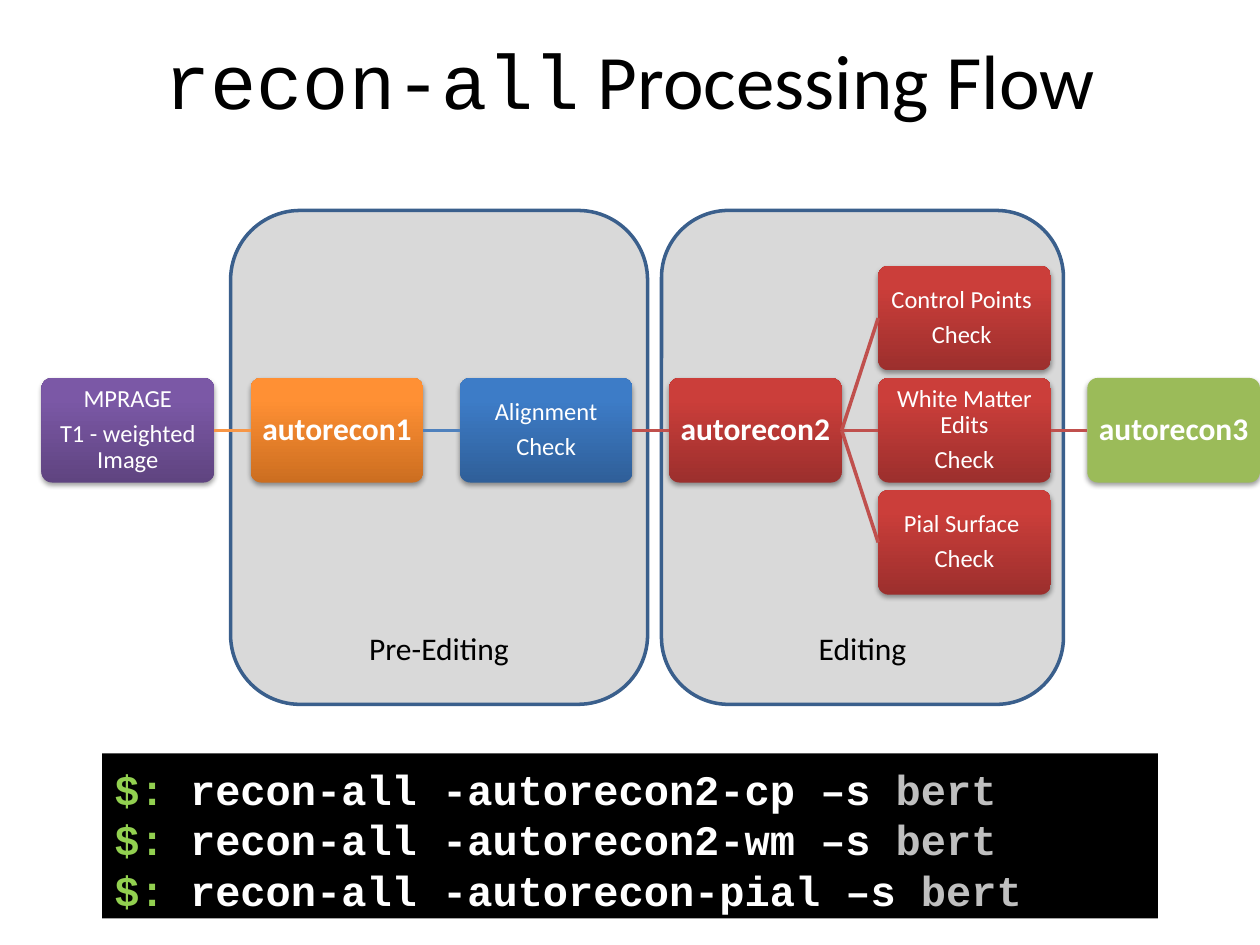
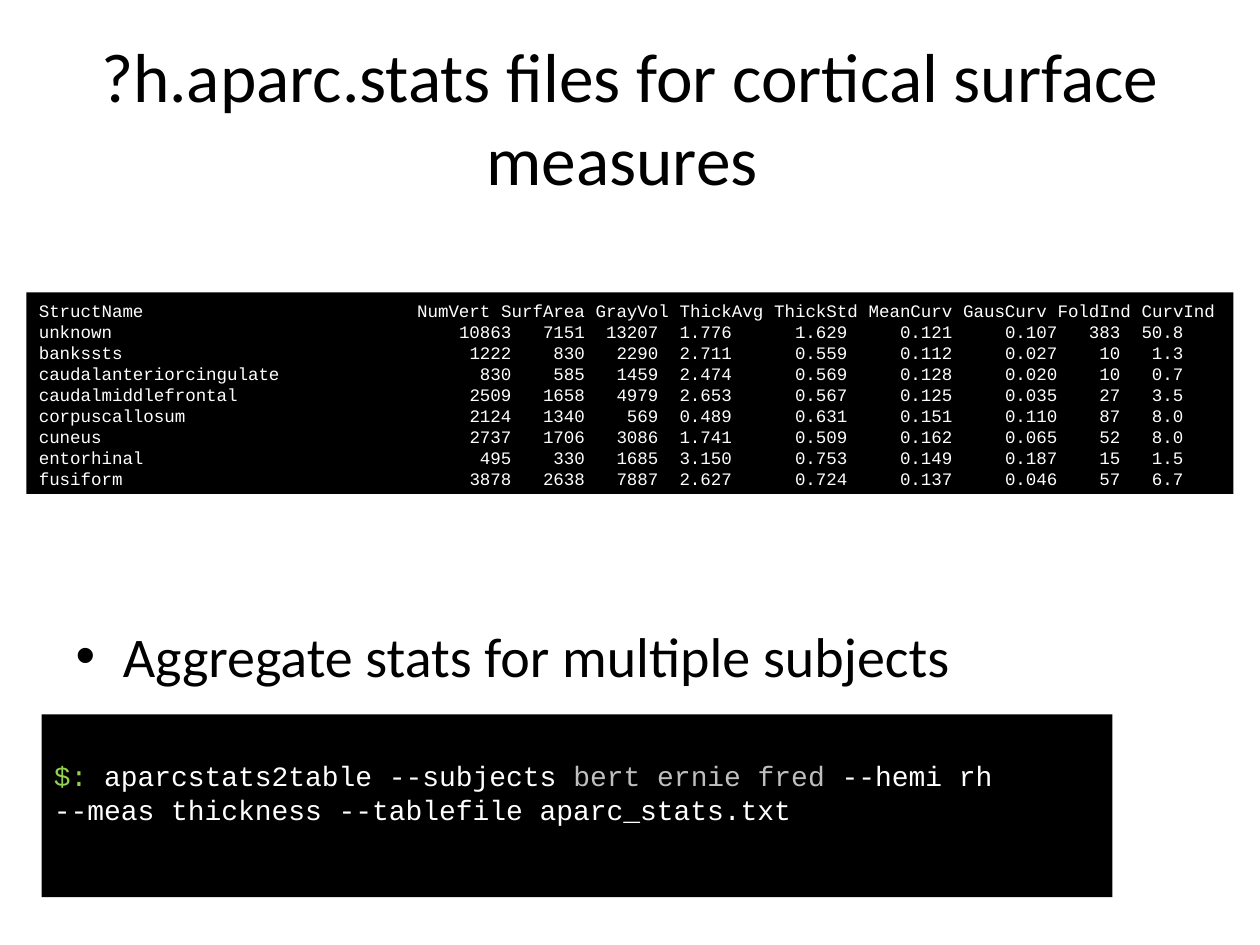
from dataclasses import dataclass

import pptx
import pptx.dml.color
import pptx.enum.shapes
import pptx.enum.text
import pptx.oxml.ns
import pptx.util
from lxml import etree

Inches, Pt = pptx.util.Inches, pptx.util.Pt
ALIGN = pptx.enum.text.PP_ALIGN
ANCHOR = pptx.enum.text.MSO_ANCHOR
SHAPE = pptx.enum.shapes.MSO_SHAPE
qn = pptx.oxml.ns.qn


@dataclass(frozen=True)
class Theme:
    sans: str = "Calibri"
    mono: str = "Courier New"
    black: str = "000000"
    white: str = "FFFFFF"
    prompt: str = "92D050"
    argument: str = "BFBFBF"
    panel: str = "D9D9D9"
    panel_edge: str = "3A5F8C"
    title: float = 44
    long_title: float = 39.6
    bullet: float = 32
    command: float = 24
    stage: float = 18
    small_command: float = 16
    check: float = 14
    listing: float = 10
    line: float = 2


T = Theme()
WIDTH, HEIGHT = 10, 7.5

PURPLE = ("5F4480", "7B58A6")
ORANGE = ("CC6E20", "FF9034")
BLUE = ("2F5F99", "3D7CC7")
RED = ("9C2F2D", "CB3E3A")
GREEN = ("9BBB59",)

FLOW_TITLE = [("recon-all", T.mono), (" Processing Flow", T.sans)]
PHASES = [("Pre-Editing", 1.83, 3.31), ("Editing", 5.25, 3.19)]
STEPS = {
    "input": (0, 0, PURPLE, ["MPRAGE", "T1 - weighted Image"]),
    "first": (1, 0, ORANGE, ["autorecon1"]),
    "alignment": (2, 0, BLUE, ["Alignment", "Check"]),
    "second": (3, 0, RED, ["autorecon2"]),
    "control": (4, -1, RED, ["Control Points ", "Check "]),
    "white": (4, 0, RED, ["White Matter Edits", "Check"]),
    "pial": (4, 1, RED, ["Pial Surface ", "Check"]),
    "third": (5, 0, GREEN, ["autorecon3"]),
}
LINKS = [
    ("input", "first", "F79646"),
    ("first", "alignment", "4F81BD"),
    ("alignment", "second", "C0504D"),
    ("second", "control", "C0504D"),
    ("second", "white", "C0504D"),
    ("second", "pial", "C0504D"),
    ("white", "third", "C0504D"),
]
RERUN_FLAGS = ["-autorecon2-cp", "-autorecon2-wm", "-autorecon-pial"]
RERUN_COMMANDS = [
    [("$:", T.prompt), (f" recon-all {flag} –s ", T.white), ("bert", T.argument)]
    for flag in RERUN_FLAGS
]

STATS_TITLE = [("?h.aparc.stats files for cortical surface measures ", T.sans)]
STATS = """\
StructName NumVert SurfArea GrayVol ThickAvg ThickStd MeanCurv GausCurv FoldInd CurvInd
unknown 10863 7151 13207 1.776 1.629 0.121 0.107 383 50.8
bankssts 1222 830 2290 2.711 0.559 0.112 0.027 10 1.3
caudalanteriorcingulate 830 585 1459 2.474 0.569 0.128 0.020 10 0.7
caudalmiddlefrontal 2509 1658 4979 2.653 0.567 0.125 0.035 27 3.5
corpuscallosum 2124 1340 569 0.489 0.631 0.151 0.110 87 8.0
cuneus 2737 1706 3086 1.741 0.509 0.162 0.065 52 8.0
entorhinal 495 330 1685 3.150 0.753 0.149 0.187 15 1.5
fusiform 3878 2638 7887 2.627 0.724 0.137 0.046 57 6.7"""
HEADING_ENDS = [43, 52, 60, 69, 78, 87, 96, 104, 112]
VALUE_ENDS = [45, 52, 59, 66, 77, 87, 97, 103, 109]
AGGREGATE = "Aggregate stats for multiple subjects"
AGGREGATE_COMMAND = [
    [("$: ", T.prompt), ("aparcstats2table --subjects ", T.white),
     ("bert ernie fred ", T.argument), ("--hemi rh", T.white)],
    [("--meas thickness --tablefile aparc_stats.txt", T.white)],
]

STEP_W, STEP_H = 1.37, 0.83
FLOW_LEFT, FLOW_TOP = 0.33, 3
COLUMN, ROW = 1.66, 0.89


def rgb(value):
    return pptx.dml.color.RGBColor.from_string(value)


def style(font, name=None, size=None, color=None, bold=None):
    if name:
        font.name = name
    if size:
        font.size = Pt(size)
    if color:
        font.color.rgb = rgb(color)
    if bold is not None:
        font.bold = bold


def place(part, left, top, width, height):
    part.left, part.top = Inches(left), Inches(top)
    part.width, part.height = Inches(width), Inches(height)


def paragraphs(frame, count):
    return [frame.paragraphs[0]] + [frame.add_paragraph() for _ in range(count - 1)]


def add_block(slide, kind, box, fill, anchor):
    block = slide.shapes.add_shape(kind, *map(Inches, box))
    block.shadow.inherit = False
    if len(fill) == 1:
        block.fill.solid()
        block.fill.fore_color.rgb = rgb(fill[0])
    else:
        block.fill.gradient()
        block.fill.gradient_angle = 90
        for stop, color, position in zip(block.fill.gradient_stops, fill, (0, 0.8)):
            stop.color.rgb = rgb(color)
            stop.position = position
    block.line.fill.background()
    block.text_frame.word_wrap = True
    block.text_frame.vertical_anchor = anchor
    return block


def set_title(slide, runs, top, size):
    title = slide.shapes.title
    place(title, 0.05 * WIDTH, top, 0.9 * WIDTH, HEIGHT / 6)
    title.text_frame.vertical_anchor = ANCHOR.MIDDLE
    heading = title.text_frame.paragraphs[0]
    heading.alignment = ALIGN.CENTER
    style(heading.font, size=size, color=T.black)
    for text, name in runs:
        run = heading.add_run()
        run.text = text
        style(run.font, name)


def add_terminal(slide, box, lines, size, margin_top, bold=False, tab_ends=None):
    terminal = add_block(slide, SHAPE.RECTANGLE, box, (T.black,), ANCHOR.TOP)
    frame = terminal.text_frame
    frame.margin_top = Inches(margin_top)
    for index, (paragraph, runs) in enumerate(zip(paragraphs(frame, len(lines)), lines)):
        paragraph.alignment = ALIGN.LEFT
        paragraph.line_spacing = Pt(1.2 * size)
        if tab_ends:
            add_tabs(paragraph, tab_ends[index], 0.6 * size)
        style(paragraph.font, T.mono, size, bold=bold)
        for text, color in runs:
            run = paragraph.add_run()
            run.text = text
            style(run.font, color=color)


def add_tabs(paragraph, ends, character):
    tabs = etree.SubElement(paragraph._p.get_or_add_pPr(), qn("a:tabLst"))
    for end in ends:
        etree.SubElement(tabs, qn("a:tab"), pos=str(Pt(end * character)), algn="r")


def add_phase(slide, label, left, width):
    phase = add_block(slide, SHAPE.ROUNDED_RECTANGLE, (left, 1.67, width, 3.92),
                      (T.panel,), ANCHOR.BOTTOM)
    phase.line.color.rgb = rgb(T.panel_edge)
    phase.line.width = Pt(T.line)
    phase.text_frame.margin_bottom = Inches(0.14)
    caption = phase.text_frame.paragraphs[0]
    caption.text = label
    caption.alignment = ALIGN.CENTER
    style(caption.font, T.sans, T.stage, T.black)


def add_step(slide, column, row, fill, lines):
    box = (FLOW_LEFT + column * COLUMN, FLOW_TOP + row * ROW, STEP_W, STEP_H)
    step = add_block(slide, SHAPE.ROUNDED_RECTANGLE, box, fill, ANCHOR.MIDDLE)
    step.adjustments[0] = 0.1
    add_soft_shadow(step)
    frame = step.text_frame
    frame.margin_left = frame.margin_right = Inches(0.01)
    frame.margin_top = frame.margin_bottom = Inches(0.01)
    is_stage = len(lines) == 1
    size = T.stage if is_stage else T.check
    for paragraph, text in zip(paragraphs(frame, len(lines)), lines):
        paragraph.text = text
        paragraph.alignment = ALIGN.CENTER
        paragraph.line_spacing = 0.9
        paragraph.space_after = Pt(0.35 * size)
        style(paragraph.font, T.sans, size, T.white, is_stage)
    return step


def add_soft_shadow(step):
    effects = step._element.spPr.find(qn("a:effectLst"))
    shadow = etree.SubElement(effects, qn("a:outerShdw"), blurRad=str(Pt(3.1)),
                              dist=str(Pt(1.6)), dir="5400000", rotWithShape="0")
    color = etree.SubElement(shadow, qn("a:srgbClr"), val=T.black)
    etree.SubElement(color, qn("a:alpha"), val="38000")


def add_link(slide, start, end, color):
    link = slide.shapes.add_connector(pptx.enum.shapes.MSO_CONNECTOR.STRAIGHT, 0, 0, 0, 0)
    link.begin_connect(start, 3)
    link.end_connect(end, 1)
    link.line.color.rgb = rgb(color)
    link.line.width = Pt(T.line)
    etree.SubElement(link._element.spPr, qn("a:effectLst"))


def build_flow(deck):
    slide = deck.slides.add_slide(deck.slide_layouts.get_by_name("Title Only"))
    set_title(slide, FLOW_TITLE, 0, T.title)
    for phase in PHASES:
        add_phase(slide, *phase)
    steps = {key: add_step(slide, *step) for key, step in STEPS.items()}
    for start, end, color in LINKS:
        add_link(slide, steps[start], steps[end], color)
    add_terminal(slide, (0.81, 5.98, 8.38, 1.31), RERUN_COMMANDS, T.command, 0.08, bold=True)


def build_stats(deck):
    slide = deck.slides.add_slide(deck.slide_layouts.get_by_name("Title and Content"))
    set_title(slide, STATS_TITLE, 0.04 * HEIGHT, T.long_title)

    body = slide.placeholders[1]
    place(body, 0.05 * WIDTH, 4.88, 0.9 * WIDTH, 0.7)
    body.text_frame.auto_size = pptx.enum.text.MSO_AUTO_SIZE.NONE
    aggregate = body.text_frame.paragraphs[0]
    aggregate.text = AGGREGATE
    aggregate.space_before = Pt(0)
    style(aggregate.font, T.sans, T.bullet, T.black)

    add_terminal(slide, (0.33, 5.67, 8.5, 1.45), AGGREGATE_COMMAND, T.small_command, 0.35)
    rows = [[("\t".join(row.split()), T.white)] for row in STATS.splitlines()]
    tab_ends = [HEADING_ENDS] + [VALUE_ENDS] * (len(rows) - 1)
    add_terminal(slide, (0.21, 2.32, 9.58, 1.6), rows, T.listing, 0.06, tab_ends=tab_ends)


def main():
    deck = pptx.Presentation()
    deck.slide_width, deck.slide_height = Inches(WIDTH), Inches(HEIGHT)
    build_flow(deck)
    build_stats(deck)
    deck.save("out.pptx")


if __name__ == "__main__":
    main()
